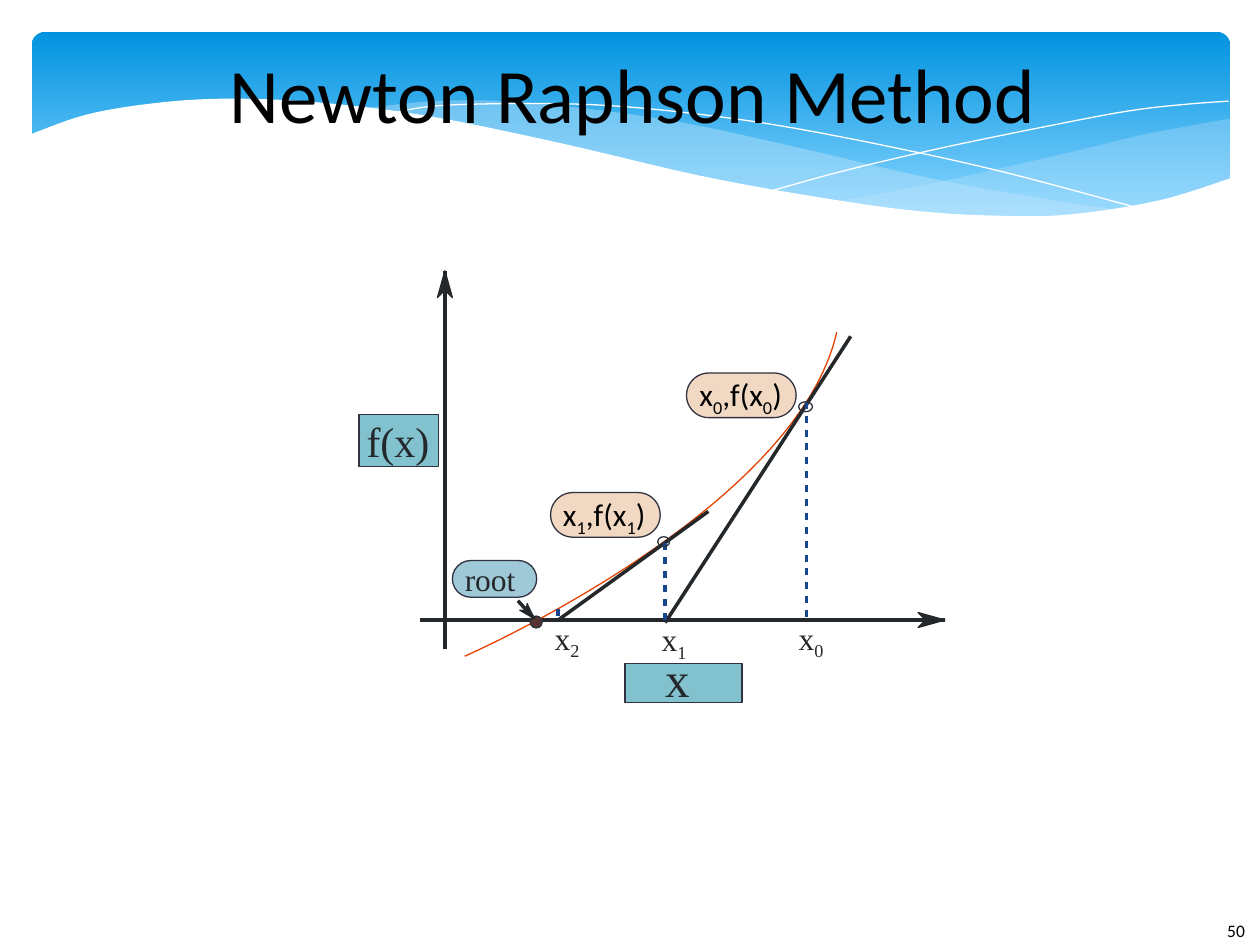
from math import hypot

from lxml import etree
from pptx import Presentation, util as u
from pptx.dml.color import RGBColor
from pptx.enum import shapes, text
from pptx.oxml.ns import qn

BLACK = RGBColor(0x00, 0x00, 0x00)
WHITE = RGBColor(0xFF, 0xFF, 0xFF)
SKY_TOP = RGBColor(0x02, 0x93, 0xE0)
SKY_BOTTOM = RGBColor(0x83, 0xD3, 0xFE)
MIST = RGBColor(0xC6, 0xE7, 0xFC)
INK = RGBColor(0x24, 0x28, 0x2B)
EDGE = RGBColor(0x32, 0x31, 0x41)
RING = RGBColor(0x2D, 0x31, 0x3E)
CURVE = RGBColor(0xE5, 0x42, 0x00)
DASH = RGBColor(0x17, 0x45, 0x8E)
TEAL = RGBColor(0x82, 0xC1, 0xCE)
PEACH = RGBColor(0xF0, 0xD8, 0xC2)
PALE_BLUE = RGBColor(0x9F, 0xC9, 0xD6)
ROOT_BROWN = RGBColor(0x5A, 0x34, 0x33)

SANS, SERIF = "Calibri", "Times New Roman"
KIND = shapes.MSO_SHAPE

RIGHT_WAVE_TOP = [(24.16, 1.75), (23.44, 1.88), (22.38, 2.08), (21.23, 2.36),
                  (19.15, 2.84), (17.3, 3.23), (16.15, 3.43)]
RIGHT_WAVE_BASE = [(16.15, 3.43), (16.92, 3.53), (18.29, 3.66), (19.76, 3.73),
                   (21.06, 3.68), (22.35, 3.51), (23.29, 3.28), (24.16, 2.95)]
MID_WAVE_TOP = [(22.05, 3.61), (20.62, 3.4), (18.19, 2.97), (15.34, 2.31),
                (13.11, 1.83), (11.18, 1.55), (9.5, 1.4), (8.1, 1.4), (6.63, 1.55)]
MID_WAVE_BASE = [(6.63, 1.55), (8.05, 1.75), (9.63, 2.06), (11.84, 2.57),
                 (14.2, 3.07), (16.26, 3.45), (18.06, 3.66), (19.86, 3.76),
                 (21.13, 3.71), (22.05, 3.61)]
FALLING_LINE = [(7.21, 1.65), (8.1, 1.5), (9.55, 1.45), (11.28, 1.47), (12.9, 1.6),
                (14.81, 1.85), (17.02, 2.26), (19.56, 2.82), (22.4, 3.58)]
RISING_LINE = [(14.94, 3.2), (16.43, 2.79), (18.36, 2.34), (20.6, 1.88),
               (22.1, 1.6), (23.19, 1.47), (24.13, 1.4)]
LOWER_EDGE = [(24.18, 2.95), (22.73, 3.4), (20.96, 3.68), (19.51, 3.71),
              (17.81, 3.61), (15.82, 3.33), (13.46, 2.9), (10.72, 2.26), (8, 1.7),
              (5.72, 1.42), (3.86, 1.35), (2.39, 1.45), (1.07, 1.68), (-0.05, 2.08)]


def smooth(knots, steps=6):
    """Return points of a Catmull-Rom curve through the knots."""
    padded = [knots[0], *knots, knots[-1]]
    points = [knots[0]]
    for a, b, c, d in zip(padded, padded[1:], padded[2:], padded[3:]):
        for t in (i / steps for i in range(1, steps + 1)):
            points.append(tuple(
                q + t * (r - p + t * (2 * p - 5 * q + 4 * r - s
                                      + t * (3 * q - p - 3 * r + s))) / 2
                for p, q, r, s in zip(a, b, c, d)))
    return points


def bezier(start, pull, end, steps=40):
    """Return points of a cubic whose second handle lies on its end."""
    return [tuple((1 - t) ** 3 * p + 3 * t * (1 - t) ** 2 * q
                  + (3 * t * t * (1 - t) + t ** 3) * r
                  for p, q, r in zip(start, pull, end))
            for t in (i / steps for i in range(steps + 1))]


def paint(figure, fill=None, line=None, opacity=None):
    """Give a shape its fill and hairline and drop its shadow."""
    figure.shadow.inherit = False
    if fill is None:
        figure.fill.background()
    else:
        figure.fill.solid()
        figure.fill.fore_color.rgb = fill
    if opacity:
        color = figure.fill._xPr.find(".//" + qn("a:srgbClr"))
        etree.SubElement(color, qn("a:alpha"), val=str(opacity * 1000))
    if line is None:
        figure.line.fill.background()
    else:
        figure.line.color.rgb = line
        figure.line.width = u.Pt(0)


def add_preset(slide, box, kind, x, y, width, height, **look):
    """Add a preset shape relative to the box."""
    figure = slide.shapes.add_shape(kind, u.Cm(box[0] + x), u.Cm(box[1] + y),
                                    u.Cm(width), u.Cm(height))
    paint(figure, **look)
    return figure


def add_outline(slide, box, points, closed=True, **look):
    """Add a freeform through points relative to the box."""
    placed = [(u.Cm(box[0] + x), u.Cm(box[1] + y)) for x, y in points]
    builder = slide.shapes.build_freeform(*placed[0])
    builder.add_line_segments(placed[1:], close=closed)
    paint(builder.convert_to_shape(), **look)


def add_line(slide, box, start, end, color=INK):
    """Add a straight hairline relative to the box."""
    ends = [u.Cm(origin + v) for point in (start, end) for origin, v in zip(box, point)]
    line = slide.shapes.add_connector(shapes.MSO_CONNECTOR.STRAIGHT, *ends)
    line.line.color.rgb = color
    line.line.width = u.Pt(0)
    etree.SubElement(line._element.spPr, qn("a:effectLst"))


def add_arrow(slide, box, start, tip, length=0.54, half=0.15):
    """Add a line that ends in a notched arrowhead."""
    add_line(slide, box, start, tip)
    dx, dy = tip[0] - start[0], tip[1] - start[1]
    dx, dy = dx / hypot(dx, dy), dy / hypot(dx, dy)
    head = [(tip[0] - back * dx - side * dy, tip[1] - back * dy + side * dx)
            for back, side in ((0.72 * length, 0), (length, half), (0, 0), (length, -half))]
    add_outline(slide, box, head, fill=INK, line=INK)


def add_dashes(slide, box, x, top, count, pitch=0.28):
    """Add a column of evenly spaced dashes."""
    for y in (top + i * pitch for i in range(count)):
        add_line(slide, box, (x, y), (x, y + pitch / 2), DASH)


def add_label(slide, box, wording, x, y, width, height=0.76, size=18, font=SERIF, color=INK):
    """Add a label in which the letter after each underscore is a subscript."""
    label = slide.shapes.add_textbox(u.Cm(box[0] + x), u.Cm(box[1] + y),
                                     u.Cm(width), u.Cm(height))
    frame = label.text_frame
    frame.word_wrap = False
    frame.margin_left = frame.margin_right = frame.margin_top = frame.margin_bottom = 0
    paragraph = frame.paragraphs[0]
    paragraph.font.size, paragraph.font.name = u.Pt(size), font
    paragraph.font.color.rgb = color
    first, *others = wording.split("_")
    pieces = [(first, False)]
    for part in others:
        pieces += [(part[0], True), (part[1:], False)]
    for piece, lowered in pieces:
        if piece:
            run = paragraph.add_run()
            run.text = piece
            if lowered:
                run._r.get_or_add_rPr().set("baseline", "-25000")


def build_banner(slide, box):
    """Draw the blue banner with its waves."""
    sky = add_preset(slide, box, KIND.ROUNDED_RECTANGLE, 0, 0, box[2], box[3])
    sky.adjustments[0] = 0.07
    sky.fill.gradient()
    sky.fill.gradient_angle = 270
    for stop, color, place in zip(sky.fill.gradient_stops, (SKY_TOP, SKY_BOTTOM), (0, 0.9)):
        stop.color.rgb, stop.position = color, place
    for top, base, opacity in ((RIGHT_WAVE_TOP, RIGHT_WAVE_BASE, 29),
                               (MID_WAVE_TOP, MID_WAVE_BASE, 40)):
        add_outline(slide, box, smooth(top) + smooth(base), fill=MIST, opacity=opacity)
    for knots in (FALLING_LINE, RISING_LINE):
        add_outline(slide, box, smooth(knots), closed=False, line=WHITE)
    corners = [(-0.05, 5.05), (24.18, 5.05)]
    add_outline(slide, box, smooth(LOWER_EDGE) + corners, fill=WHITE)


def build_title(slide, box):
    """Place the title over the banner."""
    title = slide.shapes.title
    slide.shapes._spTree.append(title._element)
    title.left, title.top, title.width, title.height = map(u.Cm, box)
    frame = title.text_frame
    frame.text = "Newton Raphson Method"
    frame.margin_left = frame.margin_right = frame.margin_top = frame.margin_bottom = 0
    frame.vertical_anchor = text.MSO_ANCHOR.MIDDLE
    heading = frame.paragraphs[0]
    heading.alignment = text.PP_ALIGN.CENTER
    heading.font.size, heading.font.name = u.Pt(44), SANS
    heading.font.color.rgb = BLACK


def build_diagram(slide, box):
    """Draw the curve, its tangents and the iterates on the axes."""
    for plate in ((5.36, 7.92, 2.36, 0.79), (0, 2.9, 1.6, 1.04)):
        add_preset(slide, box, KIND.RECTANGLE, *plate, fill=TEAL, line=EDGE)
    for x, y, width, height, fill in ((6.6, 2.06, 2.21, 0.9, PEACH),
                                      (3.86, 4.47, 2.21, 0.9, PEACH),
                                      (1.88, 5.84, 1.7, 0.74, PALE_BLUE)):
        pill = add_preset(slide, box, KIND.ROUNDED_RECTANGLE, x, y, width, height,
                          fill=fill, line=EDGE)
        pill.adjustments[0] = 0.5
    add_arrow(slide, box, (1.22, 7.04), (11.81, 7.04))
    add_arrow(slide, box, (1.73, 7.62), (1.73, 0))
    add_outline(slide, box, bezier((9.63, 1.24), (8.81, 4.85), (2.13, 7.77)),
                closed=False, line=CURVE)
    add_line(slide, box, (9.91, 1.32), (6.17, 7.09))
    add_line(slide, box, (7.04, 4.85), (4.01, 7.04))
    for x, top, count in ((9.02, 2.64, 16), (6.17, 5.49, 6), (4.01, 6.81, 1)):
        add_dashes(slide, box, x, top, count)
    for x, y, width, height, fill in ((8.86, 2.64, 0.28, 0.2, None),
                                      (6.02, 5.36, 0.24, 0.2, None),
                                      (3.45, 6.96, 0.24, 0.24, ROOT_BROWN)):
        add_preset(slide, box, KIND.OVAL, x, y, width, height, fill=fill, line=RING)
    add_arrow(slide, box, (3.2, 6.65), (3.53, 7.01), length=0.32, half=0.1)
    for wording, x, y in (("x_0", 8.86, 7.01), ("x_1", 6.1, 7.04), ("x_2", 3.94, 7.01)):
        add_label(slide, box, wording, x, y, 0.55)
    for wording, x, y in (("x_0,f(x_0)", 6.86, 2.11), ("x_1,f(x_1)", 4.11, 4.52)):
        add_label(slide, box, wording, x, y, 1.73, font=SANS, color=BLACK)
    add_label(slide, box, "root", 2.13, 5.82, 1.04)
    add_label(slide, box, "x", 6.17, 7.62, 0.48, 1.19, size=28)
    add_label(slide, box, "f(x)", 0.15, 2.92, 1.27, 1.02, size=24)


def main():
    """Build and save the slide."""
    deck = Presentation()
    deck.slide_width, deck.slide_height = u.Cm(25.4), u.Cm(19.05)
    slide = deck.slides.add_slide(deck.slide_layouts[5])
    build_banner(slide, (0.64, 0.64, 24.16, 3.96))
    add_label(slide, (24.74, 18.54), "50", 0, 0, 1.04, 0.43, size=10, font=SANS, color=BLACK)
    build_title(slide, (2.46, 0.58, 20.6, 2.59))
    build_diagram(slide, (7.24, 5.46))
    deck.save("out.pptx")


if __name__ == "__main__":
    main()
